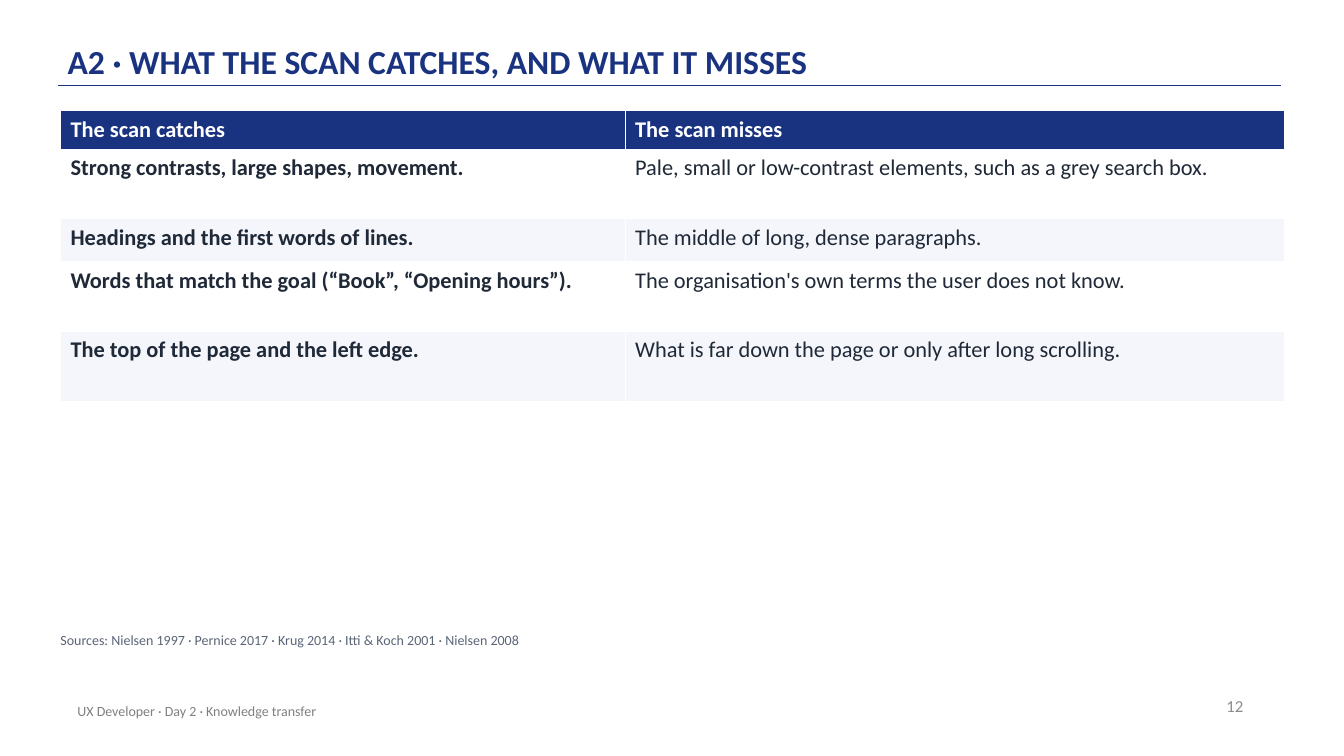
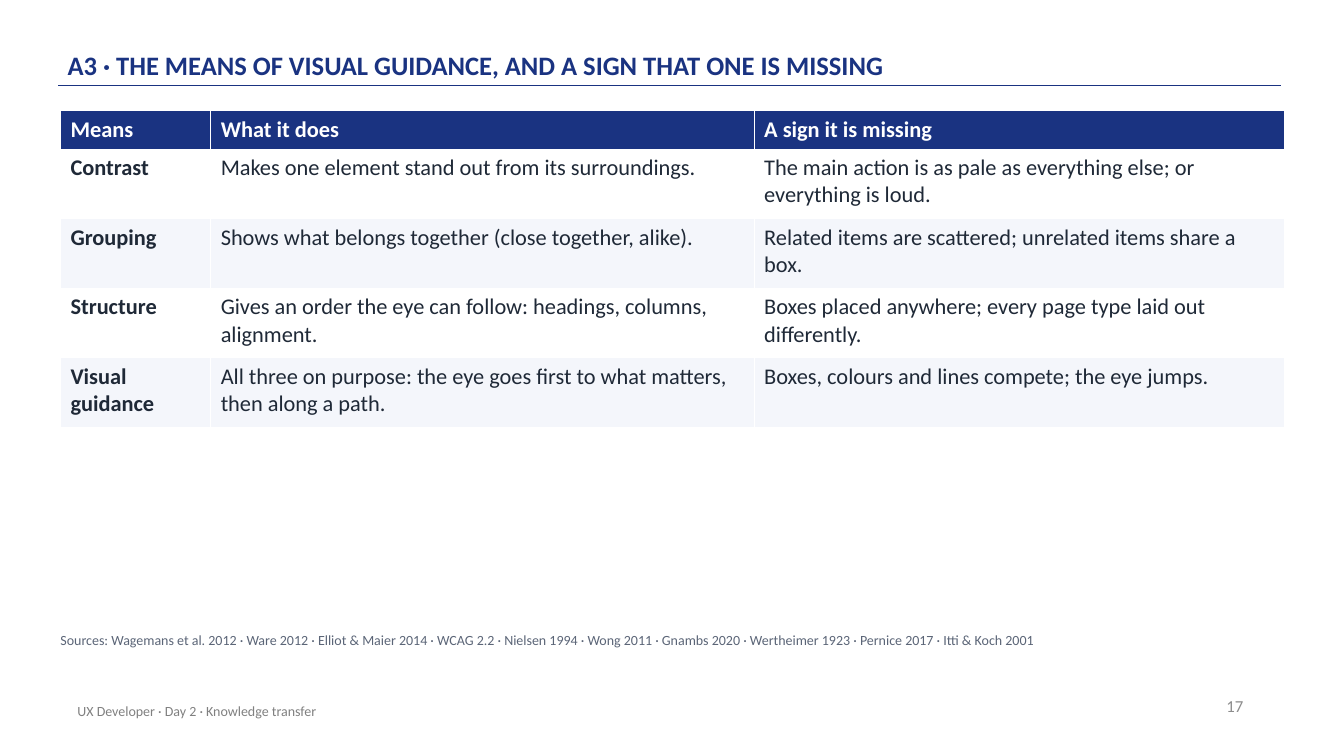
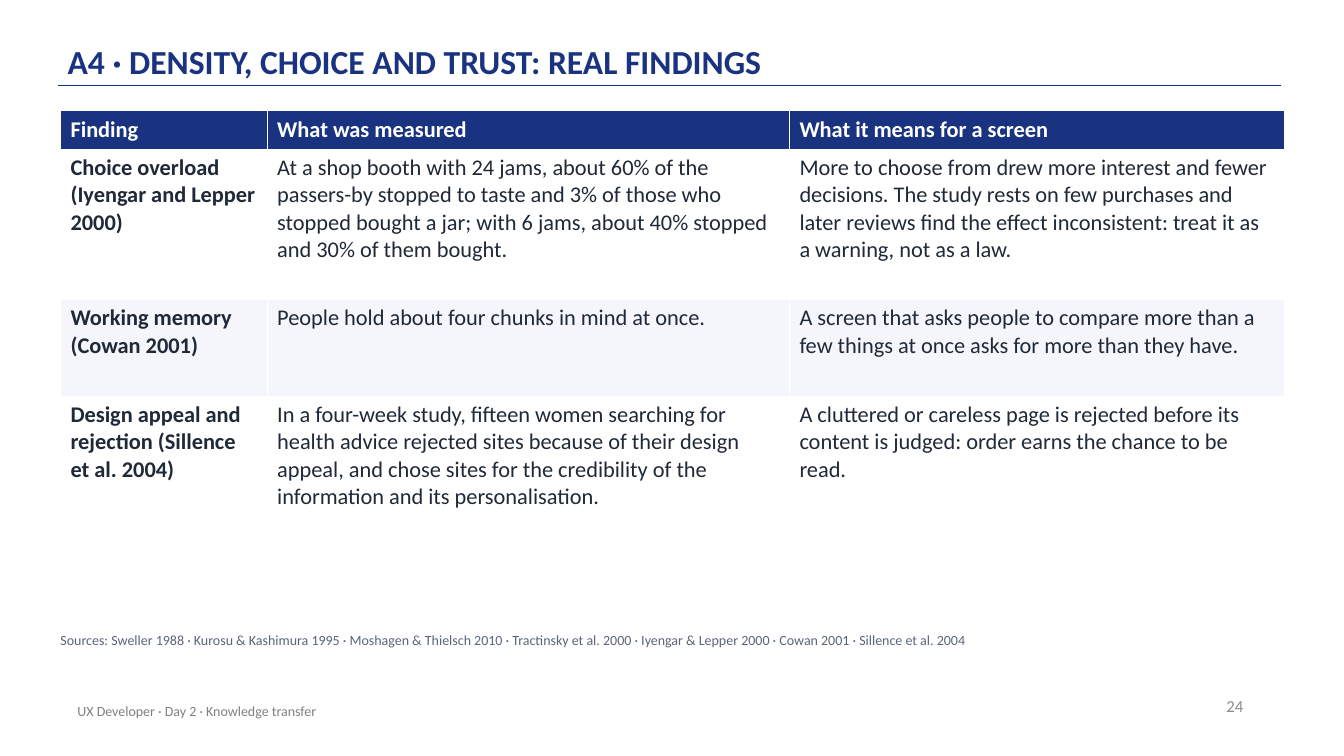
from lxml import etree
from pptx import Presentation
from pptx.dml.color import RGBColor
from pptx.enum.shapes import MSO_CONNECTOR
from pptx.enum.text import MSO_ANCHOR, MSO_AUTO_SIZE, PP_ALIGN
from pptx.oxml.ns import qn
from pptx.util import Inches, Pt

STRAIGHT = MSO_CONNECTOR.STRAIGHT
TOP, MIDDLE, BOTTOM = MSO_ANCHOR.TOP, MSO_ANCHOR.MIDDLE, MSO_ANCHOR.BOTTOM
LEFT, RIGHT = PP_ALIGN.LEFT, PP_ALIGN.RIGHT
NO_FIT = MSO_AUTO_SIZE.NONE

NAVY = RGBColor(0x1A, 0x33, 0x81)
INK = RGBColor(0x1F, 0x29, 0x37)
SLATE = RGBColor(0x5B, 0x65, 0x77)
GREY = RGBColor(0x80, 0x80, 0x80)
PAGE_GREY = RGBColor(0x8C, 0x8C, 0x8C)
WHITE = RGBColor(0xFF, 0xFF, 0xFF)
BAND = RGBColor(0xF4, 0xF6, 0xFB)
FONT = "Calibri"
FOOTER = "UX Developer · Day 2 · Knowledge transfer"

# Content: row heights and column widths are in inches
SLIDES = [
    {
        "title": "A2 · WHAT THE SCAN CATCHES, AND WHAT IT MISSES",
        "title_size": 24,
        "page": 12,
        "cols": [5.6, 6.54],
        "heights": [0.38, 0.69, 0.43, 0.69, 0.69],
        "rows": [
            ("The scan catches", "The scan misses"),
            ("Strong contrasts, large shapes, movement.",
             "Pale, small or low-contrast elements, such as a grey search box."),
            ("Headings and the first words of lines.",
             "The middle of long, dense paragraphs."),
            ("Words that match the goal (“Book”, “Opening hours”).",
             "The organisation's own terms the user does not know."),
            ("The top of the page and the left edge.",
             "What is far down the page or only after long scrolling."),
        ],
        "sources": ["Nielsen 1997", "Pernice 2017", "Krug 2014",
                    "Itti & Koch 2001", "Nielsen 2008"],
    },
    {
        "title": "A3 · THE MEANS OF VISUAL GUIDANCE, AND A SIGN THAT ONE IS MISSING",
        "title_size": 19,
        "page": 17,
        "cols": [1.49, 5.39, 5.26],
        "heights": [0.38, 0.69, 0.69, 0.69, 0.69],
        "rows": [
            ("Means", "What it does", "A sign it is missing"),
            ("Contrast",
             "Makes one element stand out from its surroundings.",
             "The main action is as pale as everything else; or everything is loud."),
            ("Grouping",
             "Shows what belongs together (close together, alike).",
             "Related items are scattered; unrelated items share a box."),
            ("Structure",
             "Gives an order the eye can follow: headings, columns, alignment.",
             "Boxes placed anywhere; every page type laid out differently."),
            ("Visual guidance",
             "All three on purpose: the eye goes first to what matters, "
             "then along a path.",
             "Boxes, colours and lines compete; the eye jumps."),
        ],
        "sources": ["Wagemans et al. 2012", "Ware 2012", "Elliot & Maier 2014",
                    "WCAG 2.2", "Nielsen 1994", "Wong 2011", "Gnambs 2020",
                    "Wertheimer 1923", "Pernice 2017", "Itti & Koch 2001"],
    },
    {
        "title": "A4 · DENSITY, CHOICE AND TRUST: REAL FINDINGS",
        "title_size": 24,
        "page": 24,
        "cols": [2.05, 5.18, 4.91],
        "heights": [0.38, 1.49, 0.96, 1.49],
        "rows": [
            ("Finding", "What was measured", "What it means for a screen"),
            ("Choice overload (Iyengar and Lepper 2000)",
             "At a shop booth with 24 jams, about 60% of the passers-by stopped "
             "to taste and 3% of those who stopped bought a jar; with 6 jams, "
             "about 40% stopped and 30% of them bought.",
             "More to choose from drew more interest and fewer decisions. The "
             "study rests on few purchases and later reviews find the effect "
             "inconsistent: treat it as a warning, not as a law."),
            ("Working memory (Cowan 2001)",
             "People hold about four chunks in mind at once.",
             "A screen that asks people to compare more than a few things at "
             "once asks for more than they have."),
            ("Design appeal and rejection (Sillence et al. 2004)",
             "In a four-week study, fifteen women searching for health advice "
             "rejected sites because of their design appeal, and chose sites "
             "for the credibility of the information and its personalisation.",
             "A cluttered or careless page is rejected before its content is "
             "judged: order earns the chance to be read."),
        ],
        "sources": ["Sweller 1988", "Kurosu & Kashimura 1995",
                    "Moshagen & Thielsch 2010", "Tractinsky et al. 2000",
                    "Iyengar & Lepper 2000", "Cowan 2001",
                    "Sillence et al. 2004"],
    },
]


def write(p, text, size, color, bold=False):
    r = p.add_run()
    r.text = text
    r.font.name = FONT
    r.font.size = Pt(size)
    r.font.color.rgb = color
    r.font.bold = bold


def set_margins(tf, side, edge):
    tf.margin_left = tf.margin_right = Inches(side)
    tf.margin_top = tf.margin_bottom = Inches(edge)


def add_text(s, box, text, size, color, align=LEFT, anchor=MIDDLE):
    tf = s.shapes.add_textbox(*map(Inches, box)).text_frame
    tf.word_wrap = True
    tf.vertical_anchor = anchor
    p = tf.paragraphs[0]
    p.alignment = align
    write(p, text, size, color)
    return tf


def style_layout(layout):
    sp = layout.placeholders[0]
    sp.left, sp.top = Inches(0.67), Inches(0.12)
    sp.width, sp.height = Inches(11), Inches(0.72)
    tf = sp.text_frame
    tf.vertical_anchor = BOTTOM
    tf.auto_size = NO_FIT
    set_margins(tf, 0, 0.03)


def add_frame(s, title, size, page):
    # Rule under the title
    rule = s.shapes.add_connector(STRAIGHT, Inches(0.58), Inches(0.85),
                                  Inches(12.71), Inches(0.85))
    rule.line.color.rgb = NAVY
    rule.line.width = Pt(1)
    etree.SubElement(rule.element.spPr, qn("a:effectLst"))

    # Title
    p = s.shapes.title.text_frame.paragraphs[0]
    p.alignment = LEFT
    p.line_spacing = 0.9
    write(p, title, size, NAVY, True)

    # Page number and footer
    add_text(s, (9.43, 6.8, 3, 0.4), str(page), 12, PAGE_GREY, RIGHT)
    add_text(s, (0.67, 6.85, 6.7, 0.4), FOOTER, 10, GREY)


def add_grid(s, rows, cols, heights):
    table = s.shapes.add_table(len(rows), len(cols), Inches(0.6), Inches(1.1),
                               Inches(sum(cols)), Inches(sum(heights))).table
    for column, width in zip(table.columns, cols):
        column.width = Inches(width)
    for i, (row, height) in enumerate(zip(rows, heights)):
        table.rows[i].height = Inches(height)
        header = i == 0
        fill = NAVY if header else WHITE if i % 2 else BAND
        for j, text in enumerate(row):
            cell = table.cell(i, j)
            cell.fill.solid()
            cell.fill.fore_color.rgb = fill
            write(cell.text_frame.paragraphs[0], text, 16,
                  WHITE if header else INK, header or j == 0)


def add_sources(s, sources):
    tf = add_text(s, (0.6, 6.27, 12.1, 0.3), "Sources: " + " · ".join(sources),
                  10, SLATE, anchor=TOP)
    set_margins(tf, 0, 0)
    tf.paragraphs[0].space_after = Pt(6)


def main():
    prs = Presentation()
    prs.slide_width, prs.slide_height = Inches(13.33), Inches(7.5)
    layout = prs.slide_layouts[5]
    style_layout(layout)
    for d in SLIDES:
        s = prs.slides.add_slide(layout)
        add_frame(s, d["title"], d["title_size"], d["page"])
        add_grid(s, d["rows"], d["cols"], d["heights"])
        add_sources(s, d["sources"])
    prs.save("out.pptx")


if __name__ == "__main__":
    main()
